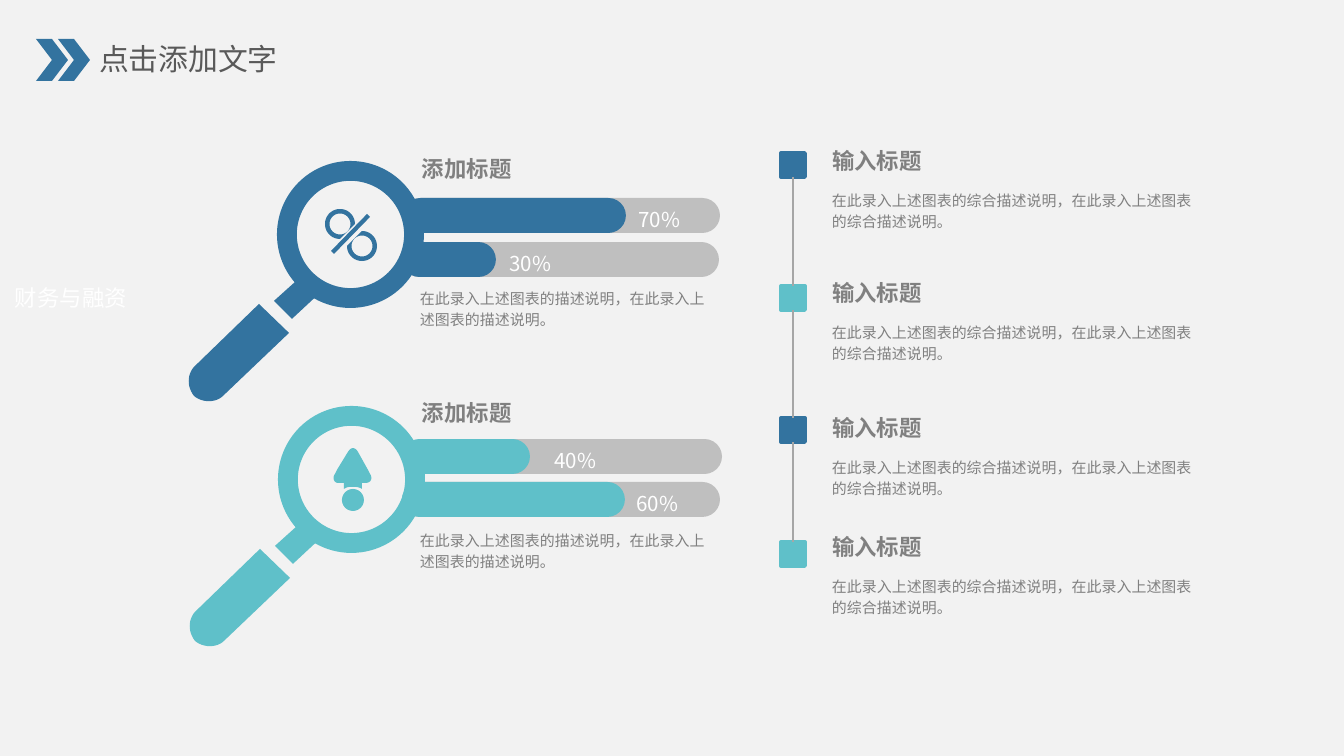
from math import cos, radians, sin

from lxml import etree
from pptx import Presentation
from pptx.dml.color import RGBColor
from pptx.enum.shapes import MSO_CONNECTOR, MSO_SHAPE
from pptx.enum.text import MSO_ANCHOR, PP_ALIGN
from pptx.oxml.ns import qn
from pptx.util import Emu, Pt

SCALE = 914400 / 134.4
DETAIL = 100
FONT = "Noto Sans CJK SC"

RECTANGLE, ROUNDED = MSO_SHAPE.RECTANGLE, MSO_SHAPE.ROUNDED_RECTANGLE
CHEVRON, OVAL, DONUT = MSO_SHAPE.CHEVRON, MSO_SHAPE.OVAL, MSO_SHAPE.DONUT
STRAIGHT = MSO_CONNECTOR.STRAIGHT
TOP = MSO_ANCHOR.TOP
LEFT, CENTER = PP_ALIGN.LEFT, PP_ALIGN.CENTER

BLUE = RGBColor(0x33, 0x73, 0x9F)
TEAL = RGBColor(0x5F, 0xC0, 0xC9)
TRACK_GRAY = RGBColor(0xBF, 0xBF, 0xBF)
LINE_GRAY = RGBColor(0xA6, 0xA6, 0xA6)
TITLE_GRAY = RGBColor(0x59, 0x59, 0x59)
TEXT_GRAY = RGBColor(0x80, 0x80, 0x80)
BACKGROUND = RGBColor(0xF2, 0xF2, 0xF2)
WHITE = RGBColor(0xFF, 0xFF, 0xFF)

NECK = [(44, 131), (15, 158), (-3, 140), (27, 113)]
HANDLE = [(-18, 143), (-83, 206), (-90, 214, -90, 226, -83, 235),
          (-75, 242, -61, 242, -54, 235), (12, 172)]
ARROW = [(90, 64), (80, 46), (77, 41, 73, 41, 70, 46), (59, 64), (57, 68),
         (54, 72, 56, 77, 60, 77), (66, 77), (66, 83),
         (69, 81, 71, 81, 74, 81), (78, 81, 81, 81, 84, 83), (84, 77),
         (88, 77), (93, 77, 95, 72, 92, 68)]
SLASH = [(93, 56), (57, 93), (54, 90), (90, 53)]

BARS = [
    (198, 403, 403, 223, BLUE, "70%", 624, 71),
    (242, 402, 402, 94, BLUE, "30%", 495, 71),
    (439, 405, 402, 128, TEAL, "40%", 527, 97),
    (482, 403, 402, 223, TEAL, "60%", 622, 71),
]
CHART_TEXTS = [(150, 281), (394, 523)]
TIMELINE = [(153, 142, BLUE), (286, 274, TEAL), (418, 409, BLUE), (542, 528, TEAL)]

CHART_NOTE = "在此录入上述图表的描述说明，在此录入上述图表的描述说明。"
TIMELINE_NOTE = "在此录入上述图表的综合描述说明，在此录入上述图表的综合描述说明。"


def px(value):
    return Emu(round(value * SCALE))


def write_text(shape, text, size, color, bold=False, align=LEFT, spacing=1.0,
               wrap=True, insets=(9, 5)):
    frame = shape.text_frame
    frame.word_wrap = wrap
    frame.vertical_anchor = TOP
    frame.margin_left = frame.margin_right = px(insets[0])
    frame.margin_top = frame.margin_bottom = px(insets[1])
    paragraph = frame.paragraphs[0]
    paragraph.alignment = align
    paragraph.line_spacing = spacing
    run = paragraph.add_run()
    run.text = text
    font = run.font
    font.size = Pt(size)
    font.bold = bold
    font.color.rgb = color
    font.name = FONT
    etree.SubElement(run._r.get_or_add_rPr(), qn("a:ea"), typeface=FONT)


def add_text(slide, text, left, top, width, height, **text_format):
    box = slide.shapes.add_textbox(px(left), px(top), px(width), px(height))
    write_text(box, text, **text_format)


def paint(shape, color):
    shape.shadow.inherit = False
    shape.fill.solid()
    shape.fill.fore_color.rgb = color
    shape.line.fill.background()


def add_block(slide, kind, left, top, width, height, color, adjustment=None):
    shape = slide.shapes.add_shape(kind, px(left), px(top), px(width), px(height))
    paint(shape, color)
    if adjustment is not None:
        shape.adjustments[0] = adjustment
    return shape


def flatten(outline, steps=12):
    points = []
    for node in outline:
        if len(node) == 2:
            points.append(node)
            continue
        controls = [points[-1], node[:2], node[2:4], node[4:]]
        for step in range(1, steps + 1):
            t = step / steps
            weights = ((1 - t) ** 3, 3 * t * (1 - t) ** 2, 3 * t * t * (1 - t), t ** 3)
            points.append(tuple(sum(weight * control[axis] for weight, control
                                    in zip(weights, controls)) for axis in (0, 1)))
    return points


def arc(center, radius, start, end):
    return [(center[0] + radius * cos(radians(angle)),
             center[1] + radius * sin(radians(angle)))
            for angle in range(start, end + 1, 6)]


def add_outline(slide, origin, color, *contours):
    first, *others = [[(x * DETAIL, y * DETAIL) for x, y in flatten(contour)]
                      for contour in contours]
    builder = slide.shapes.build_freeform(*first[0], scale=SCALE / DETAIL)
    builder.add_line_segments(first[1:])
    for contour in others:
        builder.move_to(*contour[0])
        builder.add_line_segments(contour[1:])
    paint(builder.convert_to_shape(px(origin[0]), px(origin[1])), color)


def add_magnifier(slide, left, top, color):
    add_outline(slide, (left, top), color, NECK)
    add_block(slide, DONUT, left, top, 147, 147, color, 0.135)
    add_outline(slide, (left, top), color, HANDLE)


def add_percent_icon(slide, left, top, color):
    for center, start in (((63, 63), 90), ((85, 85), 270)):
        add_outline(slide, (left, top), color,
                    arc(center, 15, start, start + 270), arc(center, 10.5, 0, 360))
    add_outline(slide, (left, top), color, SLASH)


def add_arrow_icon(slide, left, top, color):
    add_outline(slide, (left, top), color, ARROW)
    add_block(slide, OVAL, left + 64, top + 83, 22, 22, color)


def add_bar(slide, top, track_left, fill_left, fill_width, color, label,
            label_left, label_width):
    add_block(slide, ROUNDED, track_left, top, 317, 35, TRACK_GRAY, 0.5)
    add_block(slide, ROUNDED, fill_left, top, fill_width, 35, color, 0.5)
    add_text(slide, label, label_left, top - 3, label_width, 43, size=11,
             color=WHITE, align=CENTER, spacing=1.2, insets=(13, 7))


def add_heading(slide, text, left, top):
    add_text(slide, text, left, top, 110, 38, size=12, color=TEXT_GRAY,
             bold=True, wrap=False)


def add_note(slide, text, left, top, width):
    add_text(slide, text, left, top, width, 54, size=8, color=TEXT_GRAY, spacing=1.2)


def join(slide, upper, lower):
    line = slide.shapes.add_connector(STRAIGHT, 0, 0, 0, 0)
    line.begin_connect(upper, 2)
    line.end_connect(lower, 0)
    line.line.color.rgb = LINE_GRAY
    line.line.width = Pt(0.75)
    etree.SubElement(line._element.spPr, qn("a:effectLst"))


def add_timeline(slide):
    previous = None
    for top, heading_top, color in TIMELINE:
        marker = add_block(slide, RECTANGLE, 781, top, 24, 24, color)
        marker.line.color.rgb = color
        marker.line.width = Pt(2)
        if previous is not None:
            join(slide, previous, marker)
        previous = marker
        add_heading(slide, "输入标题", 823, heading_top)
        add_note(slide, TIMELINE_NOTE, 823, heading_top + 41, 380)


def add_title(slide):
    title = slide.shapes.title
    title.left, title.top, title.width, title.height = map(px, (90, 36, 263, 46))
    write_text(title, "点击添加文字", size=16, color=TITLE_GRAY)
    for left in (36, 58):
        add_block(slide, CHEVRON, left, 39, 32, 42, BLUE)


def main():
    presentation = Presentation()
    presentation.slide_width, presentation.slide_height = px(1344), px(756)
    slide = presentation.slides.add_slide(presentation.slide_layouts[5])
    slide.background.fill.solid()
    slide.background.fill.fore_color.rgb = BACKGROUND

    add_title(slide)
    add_text(slide, "财务与融资", 6, 279, 140, 38, size=12, color=WHITE, wrap=False)
    for bar in BARS:
        add_bar(slide, *bar)
    add_magnifier(slide, 277, 161, BLUE)
    add_percent_icon(slide, 277, 161, BLUE)
    add_magnifier(slide, 278, 406, TEAL)
    add_arrow_icon(slide, 278, 406, TEAL)
    for heading_top, note_top in CHART_TEXTS:
        add_heading(slide, "添加标题", 413, heading_top)
        add_note(slide, CHART_NOTE, 411, note_top, 310)
    add_timeline(slide)
    presentation.save("out.pptx")


if __name__ == "__main__":
    main()
